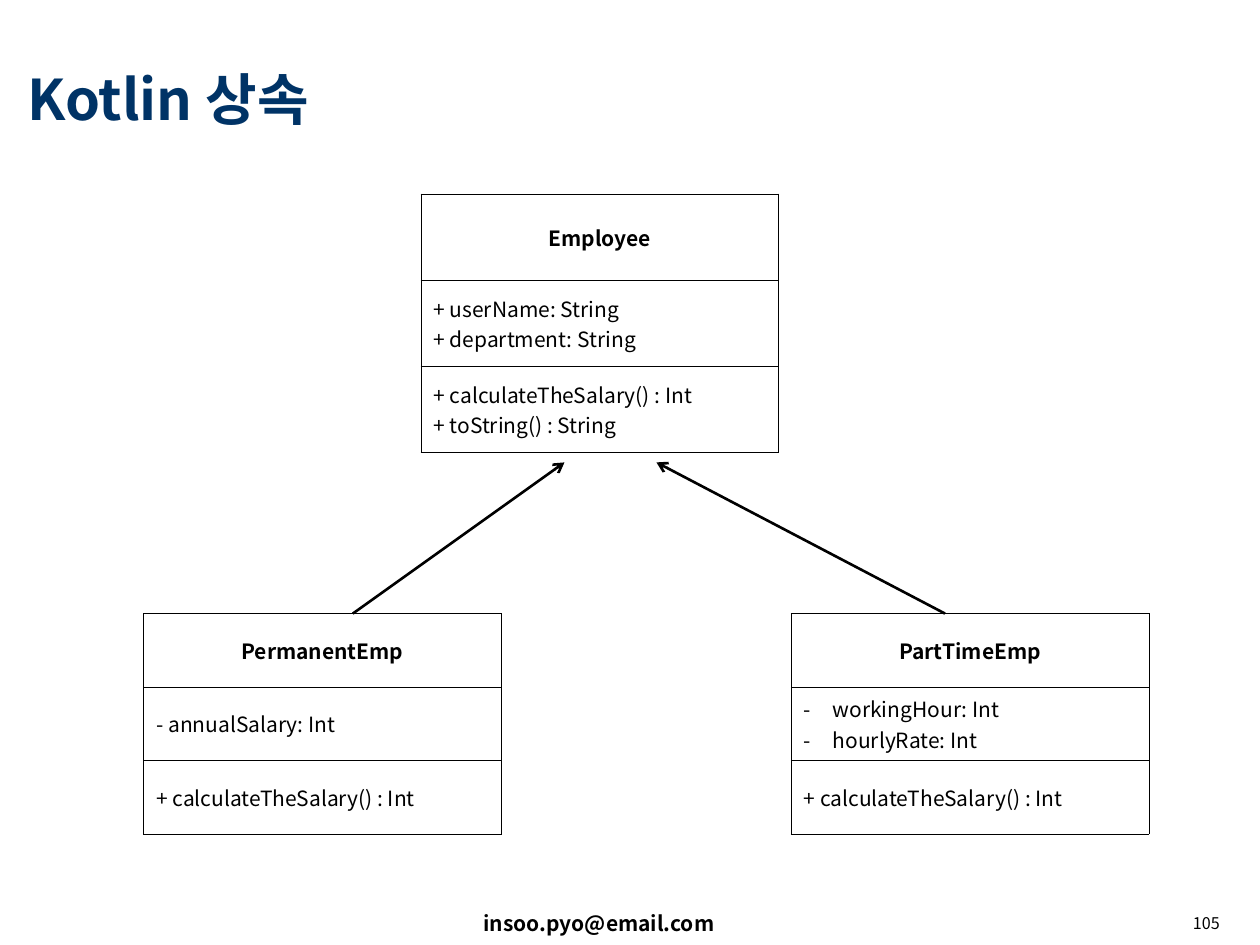
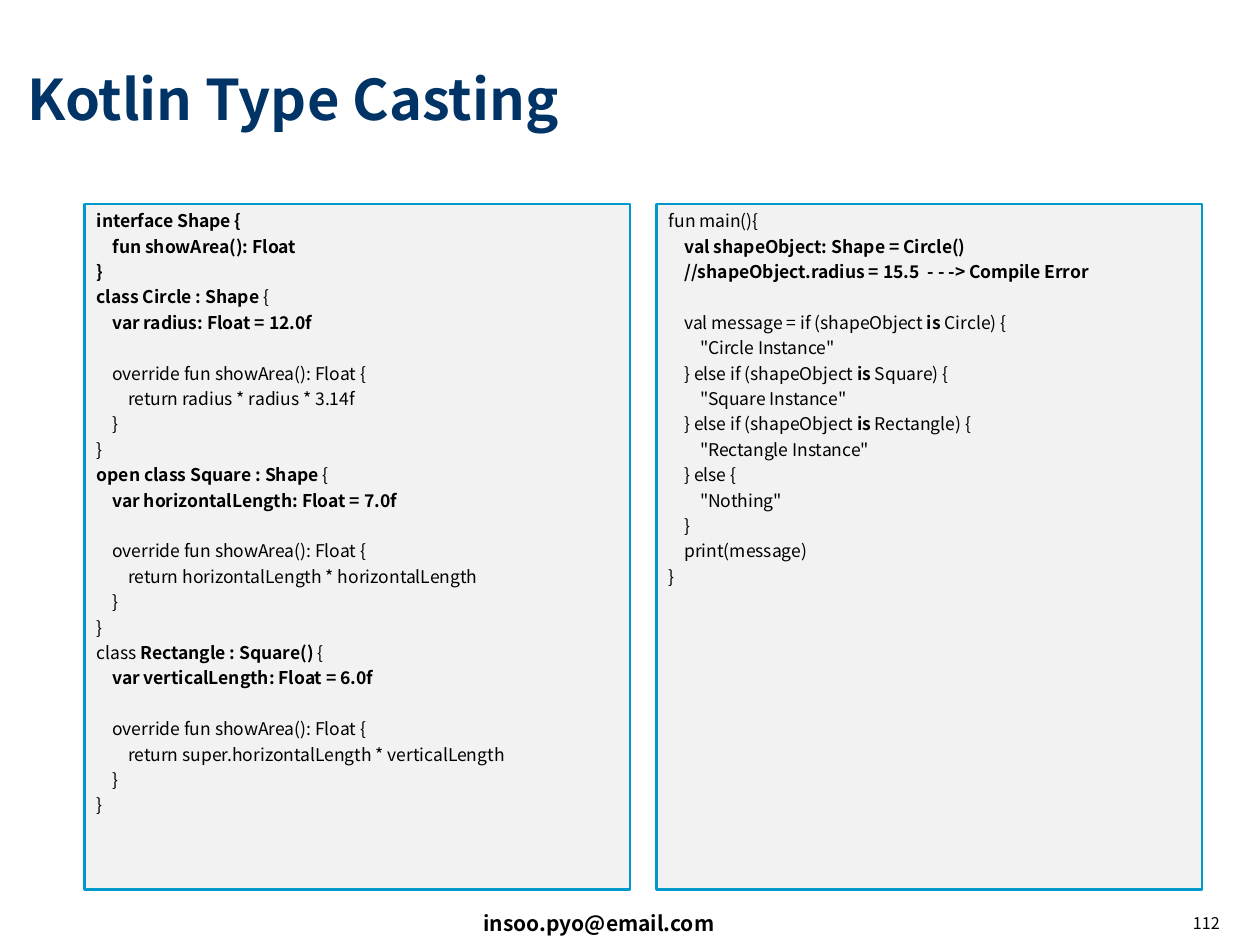
from dataclasses import dataclass

from lxml import etree
from pptx import Presentation, util as u
from pptx.dml.color import RGBColor
from pptx.enum import shapes, text
from pptx.oxml.ns import qn

# ---------- Content: text between ** marks is bold ----------
EMAIL = "insoo.pyo@email.com"

INHERITANCE = {"title": "Kotlin 상속", "number": "105"}
CASTING = {"title": "Kotlin Type Casting", "number": "112"}

# Each class: left, top, height, name, fields, methods
CLASSES = [
    (3.34, 1.54, 2.05, "Employee",
     ["+ userName: String", "+ department: String"],
     ["+ calculateTheSalary() : Int", "+ toString() : String"]),
    (1.14, 4.87, 1.75, "PermanentEmp",
     ["- annualSalary: Int"], ["+ calculateTheSalary() : Int"]),
    (6.28, 4.87, 1.75, "PartTimeEmp",
     ["• workingHour: Int", "• hourlyRate: Int"],
     ["+ calculateTheSalary() : Int"]),
]
# Horizontal start and end of each inheritance arrow
ARROWS = [(2.8, 4.48), (7.5, 5.21)]
ARROW_START, ARROW_END = 4.87, 3.67

SHAPES_CODE = """\
**interface Shape {**
**    fun showArea(): Float**
**}**
**class Circle : Shape **{
    **var radius: Float = 12.0f**

    override fun showArea(): Float {
        return radius * radius * 3.14f
    }
}
**open class Square : Shape **{
    **var horizontalLength: Float = 7.0f**

    override fun showArea(): Float {
        return horizontalLength * horizontalLength
    }
}
class **Rectangle : Square() **{
    **var verticalLength: Float = 6.0f**

    override fun showArea(): Float {
        return super.horizontalLength * verticalLength
    }
}"""

MAIN_CODE = """\
fun main(){
    **val shapeObject: Shape = Circle()**
    **//shapeObject.radius = 15.5  - - -> Compile Error**

    val message = if (shapeObject **is** Circle) {
        "Circle Instance"
    } else if (shapeObject **is** Square) {
        "Square Instance"
    } else if (shapeObject **is** Rectangle) {
        "Rectangle Instance"
    } else {
        "Nothing"
    }
    print(message)
}"""


# ---------- Theme and grid ----------
@dataclass(frozen=True)
class Theme:
    font: str = "Noto Sans CJK KR"
    ink: str = "000000"
    navy: str = "003366"
    panel: str = "F2F2F2"
    edge: str = "0099CC"
    title: float = 32
    body: float = 12
    code: float = 10
    number: float = 9.2
    rule: float = 0.45
    stroke: float = 1.5
    code_gap: float = 2.5
    code_line: float = 14.5


THEME = Theme()
WIDTH, HEIGHT = 10, 7.5
CLASS_WIDTH = 2.84
PANEL_LEFT, PANEL_TOP, PANEL_WIDTH, PANEL_HEIGHT, GUTTER = 0.67, 1.62, 4.33, 5.44, 0.21
HANGING = 0.23


# ---------- Helpers ----------
def apply(target, **values):
    for name, value in values.items():
        setattr(target, name, value)


def inches(*lengths):
    return [u.Inches(length) for length in lengths]


def write(para, marked, size, color=THEME.ink):
    """Add one line of text, switching bold at each ** mark."""
    for index, part in enumerate(marked.split("**")):
        if not part:
            continue
        span = para.add_run()
        span.text = part
        apply(span.font, size=u.Pt(size), bold=index % 2 == 1, name=THEME.font)
        span.font.color.rgb = RGBColor.from_string(color)
        latin = span.font._element.find(qn("a:latin"))
        east_asian = etree.Element(qn("a:ea"), typeface=THEME.font)
        latin.addnext(east_asian)


def paragraphs(frame, lines):
    for index, line in enumerate(lines):
        yield (frame.add_paragraph() if index else frame.paragraphs[0]), line


def label(page, place, marked, size, color=THEME.ink, align=text.PP_ALIGN.LEFT,
          anchor=text.MSO_ANCHOR.TOP, spacing=1.0):
    box = page.shapes.add_textbox(*inches(*place))
    apply(box.text_frame, word_wrap=True, vertical_anchor=anchor)
    para = box.text_frame.paragraphs[0]
    apply(para, alignment=align, line_spacing=spacing)
    write(para, marked, size, color)


def add_page(deck, title, number):
    """Blank page with the shared title, footer and page number."""
    page = deck.slides.add_slide(deck.slide_layouts[6])
    label(page, (3.74, 7.18, 3.23, 0.3), f"**{EMAIL}**", THEME.body)
    label(page, (0.12, 0.17, 9.66, 1.21), f"**{title}**", THEME.title, THEME.navy,
          anchor=text.MSO_ANCHOR.MIDDLE)
    label(page, (7.7, 7.22, 2.08, 0.28), number, THEME.number,
          align=text.PP_ALIGN.RIGHT, spacing=0.9)
    return page


def outline(cell):
    """Thin rule on all four sides, no fill."""
    props = cell._tc.get_or_add_tcPr()
    for side in ("lnL", "lnR", "lnT", "lnB"):
        line = etree.SubElement(props, qn(f"a:{side}"), w=str(u.Pt(THEME.rule)))
        fill = etree.SubElement(line, qn("a:solidFill"))
        etree.SubElement(fill, qn("a:srgbClr"), val=THEME.ink)
    cell.fill.background()


def hang_dash(para):
    props = para._p.get_or_add_pPr()
    indent = u.Inches(HANGING)
    props.set("marL", str(indent))
    props.set("indent", str(-indent))
    etree.SubElement(props, qn("a:buFont"), typeface=THEME.font)
    etree.SubElement(props, qn("a:buChar"), char="-")


def class_box(page, left, top, height, name, fields, methods):
    sections = [[f"**{name}**"], fields, methods]
    place = inches(left, top, CLASS_WIDTH, height)
    table = page.shapes.add_table(len(sections), 1, *place).table
    apply(table, first_row=False, horz_banding=False)
    for row, lines in enumerate(sections):
        table.rows[row].height = u.Inches(height / len(sections))
        cell = table.cell(row, 0)
        outline(cell)
        cell.vertical_anchor = text.MSO_ANCHOR.MIDDLE
        for para, line in paragraphs(cell.text_frame, lines):
            para.alignment = text.PP_ALIGN.LEFT if row else text.PP_ALIGN.CENTER
            if line.startswith("• "):
                hang_dash(para)
            write(para, line.removeprefix("• "), THEME.body)


def arrow(page, start, end):
    ends = inches(start, ARROW_START, end, ARROW_END)
    connector = page.shapes.add_connector(shapes.MSO_CONNECTOR.STRAIGHT, *ends)
    connector.line.width = u.Pt(THEME.stroke)
    connector.line.color.rgb = RGBColor.from_string(THEME.ink)
    props = connector._element.spPr
    etree.SubElement(props.find(qn("a:ln")), qn("a:tailEnd"), type="arrow")
    etree.SubElement(props, qn("a:effectLst"))


def write_code(frame, code):
    """An empty code line becomes space before the line that follows it."""
    space = 0
    written = paragraphs(frame, filter(None, code.split("\n")))
    for line in code.split("\n"):
        if not line:
            space += THEME.code_line
            continue
        para, _ = next(written)
        apply(para, alignment=text.PP_ALIGN.LEFT, space_before=u.Pt(space))
        write(para, line, THEME.code)
        space = THEME.code_gap


def code_panel(page, column, code):
    left = PANEL_LEFT + column * (PANEL_WIDTH + GUTTER)
    panel = page.shapes.add_shape(
        shapes.MSO_SHAPE.RECTANGLE,
        *inches(left, PANEL_TOP, PANEL_WIDTH, PANEL_HEIGHT))
    panel.shadow.inherit = False
    panel.fill.solid()
    panel.fill.fore_color.rgb = RGBColor.from_string(THEME.panel)
    panel.line.color.rgb = RGBColor.from_string(THEME.edge)
    panel.line.width = u.Pt(THEME.stroke)
    apply(panel.text_frame, word_wrap=True, vertical_anchor=text.MSO_ANCHOR.TOP)
    write_code(panel.text_frame, code)


# ---------- Build ----------
def main():
    deck = Presentation()
    apply(deck, slide_width=u.Inches(WIDTH), slide_height=u.Inches(HEIGHT))

    # Class diagram
    page = add_page(deck, **INHERITANCE)
    for diagram in CLASSES:
        class_box(page, *diagram)
    for start, end in ARROWS:
        arrow(page, start, end)

    # Code side by side
    page = add_page(deck, **CASTING)
    for column, code in enumerate((SHAPES_CODE, MAIN_CODE)):
        code_panel(page, column, code)

    deck.save("out.pptx")


if __name__ == "__main__":
    main()
